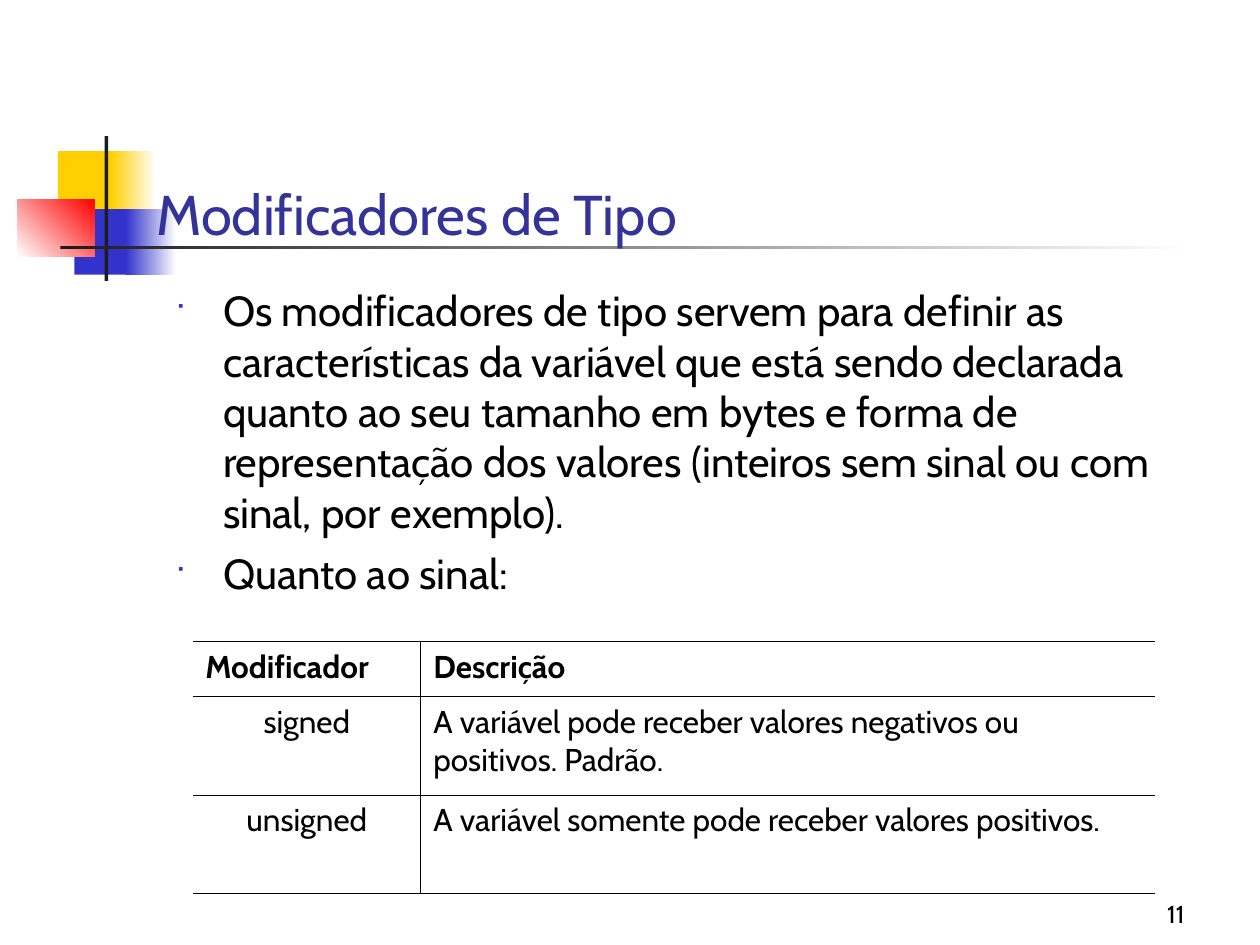
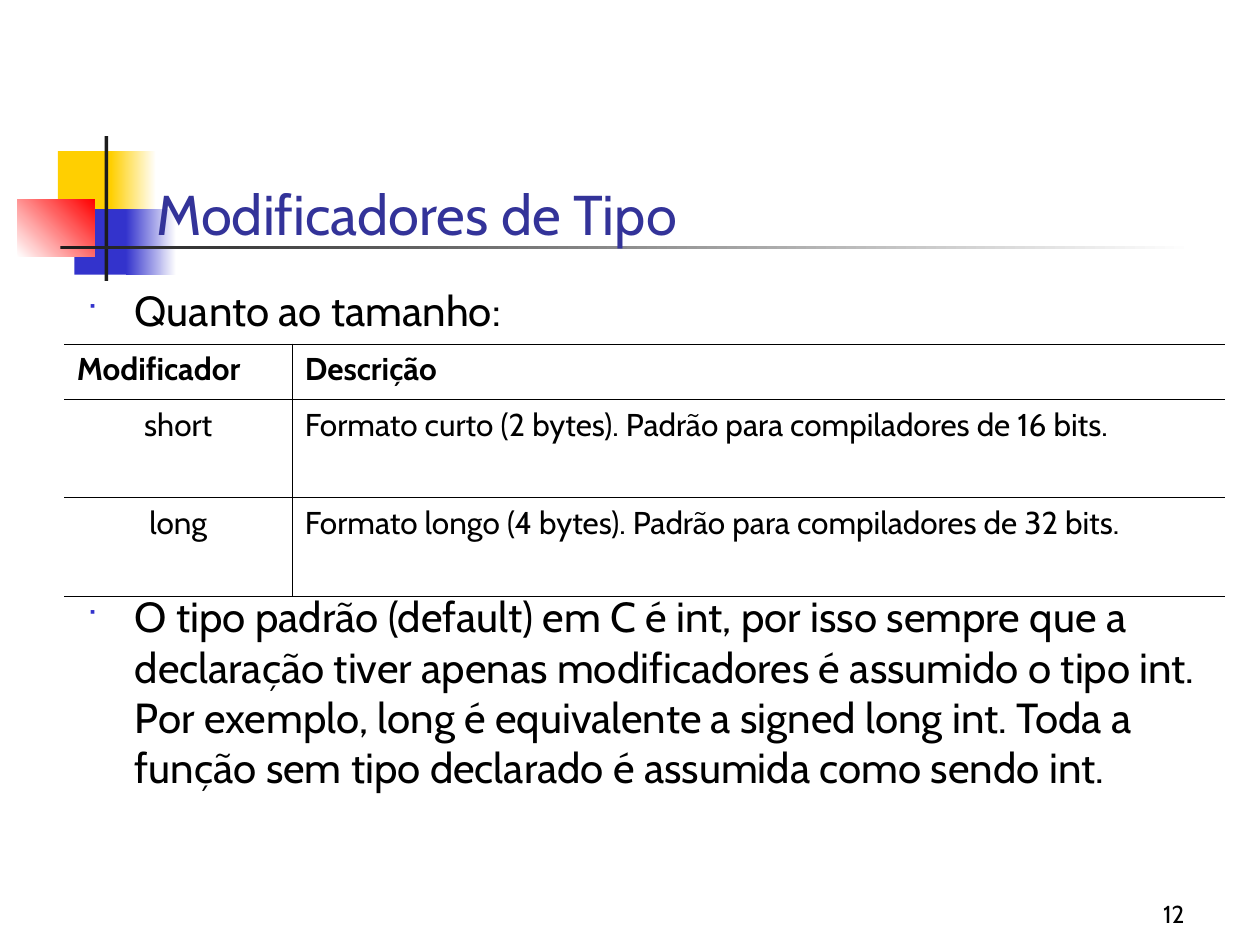
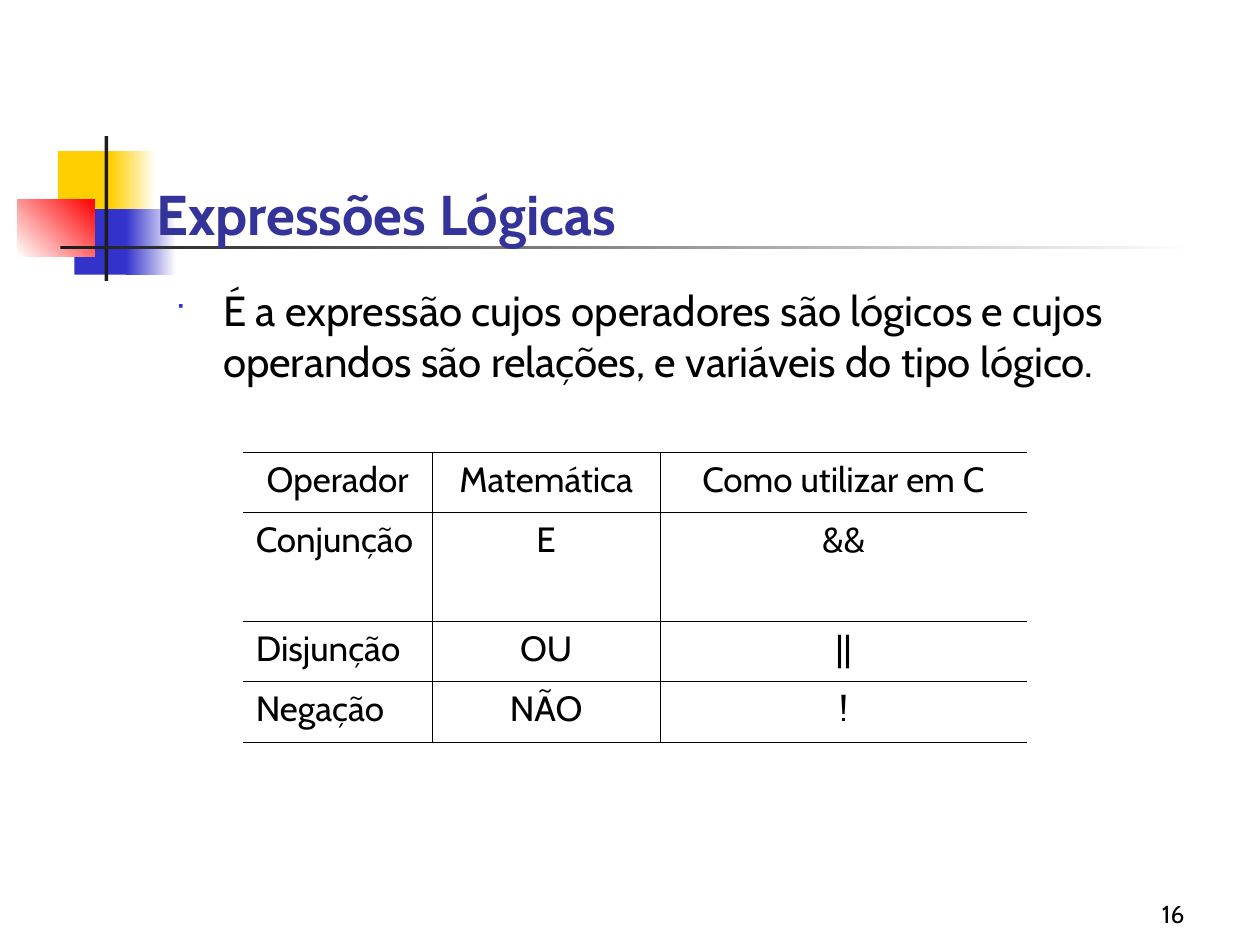
from dataclasses import dataclass

from lxml import etree
from pptx import Presentation
from pptx.dml.color import RGBColor
from pptx.enum.shapes import MSO_SHAPE
from pptx.enum.text import MSO_ANCHOR, MSO_AUTO_SIZE, PP_ALIGN
from pptx.oxml.ns import qn
from pptx.util import Inches, Pt

LEFT, CENTER, RIGHT = PP_ALIGN.LEFT, PP_ALIGN.CENTER, PP_ALIGN.RIGHT
TOP, BOTTOM = MSO_ANCHOR.TOP, MSO_ANCHOR.BOTTOM
RECTANGLE = MSO_SHAPE.RECTANGLE
NO_AUTOFIT = MSO_AUTO_SIZE.NONE

SLIDE_W, SLIDE_H = Inches(10), Inches(7.5)
COLUMN, ROW = SLIDE_W / 100, SLIDE_H / 75

FONT = "Cabin"
BLACK, WHITE, CHARCOAL = "000000", "FFFFFF", "1C1C1C"
YELLOW, BLUE, RED, TITLE_BLUE = "FFCF01", "3333CC", "FF0000", "333399"
RULE_WIDTH = Pt(0.45)
LIST_GAP = 6


@dataclass(frozen=True)
class Box:
    """A place in grid columns and rows."""
    left: float
    top: float
    width: float
    height: float

    def lengths(self) -> tuple[int, int, int, int]:
        return (round(self.left * COLUMN), round(self.top * ROW),
                round(self.width * COLUMN), round(self.height * ROW))


@dataclass(frozen=True)
class Block:
    """A rectangle of the emblem, plain or fading into a second colour."""
    box: Box
    color: str
    fade_to: str = ""
    angle: int = 0


@dataclass(frozen=True)
class Item:
    text: str
    gap: float = LIST_GAP


@dataclass(frozen=True)
class Grid:
    left: float
    top: float
    columns: list[float]
    rows: list[float]
    size: int
    header_align: PP_ALIGN
    header_bold: bool
    aligns: list[PP_ALIGN]
    cells: list[list[str]]


@dataclass(frozen=True)
class Lesson:
    title: str
    number: int
    items: list[Item]
    grid: Grid
    list_box: Box
    bold_title: bool = False


TITLE_BOX = Box(11.4, 7.6, 85.2, 12.5)
NUMBER_BOX = Box(74.2, 69.2, 20.8, 5)
LIST_BOX = Box(12.9, 22.1, 85, 45)
WIDE_LIST_BOX = Box(5.9, 22.1, 92, 45)

EMBLEM = [
    Block(Box(4.6, 12, 4.8, 5.2), YELLOW),
    Block(Box(8.8, 12, 3.6, 5.2), YELLOW, WHITE),
    Block(Box(5.9, 16.6, 4.6, 5.2), BLUE),
    Block(Box(10, 16.6, 4, 5.2), BLUE, WHITE),
    Block(Box(1.4, 15.8, 6.1, 4.6), WHITE, RED, 45),
    Block(Box(8.3, 10.8, 0.3, 11.5), CHARCOAL),
    Block(Box(4.8, 19.5, 90, 0.3), CHARCOAL, WHITE),
]


def modifier_grid(left: float, top: float, description_width: float,
                  modifiers: list[list[str]]) -> Grid:
    return Grid(left, top, [18.1, description_width], [4.4, 7.8, 7.8], 18,
                LEFT, True, [CENTER, LEFT],
                [["Modificador", "Descrição"], *modifiers])


LESSONS = [
    Lesson(
        "Modificadores de Tipo", 11,
        [Item("Os modificadores de tipo servem para definir as características "
              "da variável que está sendo declarada quanto ao seu tamanho em "
              "bytes e forma de representação dos valores (inteiros sem sinal "
              "ou com sinal, por exemplo)."),
         Item("Quanto ao sinal:")],
        modifier_grid(15.3, 50.9, 58.3, [
            ["signed", "A variável pode receber valores negativos ou "
                       "positivos. Padrão."],
            ["unsigned", "A variável somente pode receber valores positivos."],
        ]),
        LIST_BOX),
    Lesson(
        "Modificadores de Tipo", 12,
        [Item("Quanto ao tamanho:"),
         Item("O tipo padrão (default) em C é int, por isso sempre que a "
              "declaração tiver apenas modificadores é assumido o tipo int. "
              "Por exemplo, long é equivalente a signed long int. Toda a "
              "função sem tipo declarado é assumida como sendo int.", gap=146)],
        modifier_grid(5.1, 27.3, 74, [
            ["short", "Formato curto (2 bytes). Padrão para compiladores de "
                      "16 bits."],
            ["long", "Formato longo (4 bytes). Padrão para compiladores de "
                     "32 bits."],
        ]),
        WIDE_LIST_BOX),
    Lesson(
        "Expressões Lógicas", 16,
        [Item("É a expressão cujos operadores são lógicos e cujos operandos "
              "são relações, e variáveis do tipo lógico.")],
        Grid(19.3, 35.9, [15, 18.1, 29.1], [4.8, 8.6, 4.8, 4.8], 20,
             CENTER, False, [LEFT, CENTER, CENTER],
             [["Operador", "Matemática", "Como utilizar em C"],
              ["Conjunção", "E", "&&"],
              ["Disjunção", "OU", "||"],
              ["Negação", "NÃO", "!"]]),
        LIST_BOX, bold_title=True),
]


def rgb(color: str) -> RGBColor:
    return RGBColor.from_string(color)


def place(shape, box: Box) -> None:
    shape.left, shape.top, shape.width, shape.height = box.lengths()


def prepare_frame(frame, anchor: MSO_ANCHOR) -> None:
    frame.word_wrap = True
    frame.auto_size = NO_AUTOFIT
    frame.vertical_anchor = anchor


def write(paragraph, text: str, size: int, color: str = BLACK,
          bold: bool = False, align: PP_ALIGN = LEFT) -> None:
    paragraph.alignment = align
    run = paragraph.add_run()
    run.text = text
    run.font.name = FONT
    run.font.size = Pt(size)
    run.font.bold = bold
    run.font.color.rgb = rgb(color)


def add_bullet(paragraph) -> None:
    properties = paragraph._p.get_or_add_pPr()
    indent = Inches(0.38)
    properties.set("marL", str(indent))
    properties.set("indent", str(-indent))
    tint = etree.SubElement(properties, qn("a:buClr"))
    etree.SubElement(tint, qn("a:srgbClr"), val=BLUE)
    etree.SubElement(properties, qn("a:buSzPct"), val="60000")
    etree.SubElement(properties, qn("a:buFont"), typeface="Wingdings")
    etree.SubElement(properties, qn("a:buChar"), char="■")


def draw_block(slide, block: Block):
    shape = slide.shapes.add_shape(RECTANGLE, *block.box.lengths())
    shape.shadow.inherit = False
    shape.line.fill.background()
    if block.fade_to:
        shape.fill.gradient()
        shape.fill.gradient_angle = block.angle
        for stop, position, color in zip(shape.fill.gradient_stops, (0, 1),
                                         (block.color, block.fade_to)):
            stop.position = position
            stop.color.rgb = rgb(color)
    else:
        shape.fill.solid()
        shape.fill.fore_color.rgb = rgb(block.color)
    return shape


def put_emblem_on_layout(slide) -> None:
    """Draw the emblem on a slide, then move it to the layout all slides share."""
    layout = slide.slide_layout
    for footer in list(layout.placeholders)[2:]:
        layout.shapes.element.remove(footer.element)
    for shape in [draw_block(slide, block) for block in EMBLEM]:
        layout.shapes.element.append(shape.element)


def rule_cell(cell, ruled_sides: dict[str, bool]) -> None:
    properties = cell._tc.get_or_add_tcPr()
    for index, (side, ruled) in enumerate(ruled_sides.items()):
        line = etree.Element(qn(f"a:ln{side}"), w=str(RULE_WIDTH))
        if ruled:
            fill = etree.SubElement(line, qn("a:solidFill"))
            etree.SubElement(fill, qn("a:srgbClr"), val=BLACK)
        else:
            etree.SubElement(line, qn("a:noFill"))
        properties.insert(index, line)


def draw_grid(slide, grid: Grid) -> None:
    box = Box(grid.left, grid.top, sum(grid.columns), sum(grid.rows))
    table = slide.shapes.add_table(len(grid.rows), len(grid.columns),
                                   *box.lengths()).table
    table.first_row = table.horz_banding = False
    for column, width in zip(table.columns, grid.columns):
        column.width = round(width * COLUMN)
    last = len(grid.columns) - 1
    for r, (row, height, texts) in enumerate(
            zip(table.rows, grid.rows, grid.cells)):
        row.height = round(height * ROW)
        header = r == 0
        for c, text in enumerate(texts):
            cell = table.cell(r, c)
            cell.fill.background()
            rule_cell(cell, {"L": c > 0, "R": c < last, "T": True, "B": True})
            write(cell.text_frame.paragraphs[0], text, grid.size,
                  bold=header and grid.header_bold,
                  align=grid.header_align if header else grid.aligns[c])


def fill_slide(slide, lesson: Lesson) -> None:
    title, topics = slide.placeholders
    place(title, TITLE_BOX)
    prepare_frame(title.text_frame, BOTTOM)
    write(title.text_frame.paragraphs[0], lesson.title, 32, TITLE_BLUE,
          lesson.bold_title)

    place(topics, lesson.list_box)
    frame = topics.text_frame
    prepare_frame(frame, TOP)
    for index, item in enumerate(lesson.items):
        paragraph = frame.add_paragraph() if index else frame.paragraphs[0]
        paragraph.space_before = Pt(item.gap)
        add_bullet(paragraph)
        write(paragraph, item.text, 24)

    number = slide.shapes.add_textbox(*NUMBER_BOX.lengths()).text_frame
    prepare_frame(number, BOTTOM)
    write(number.paragraphs[0], str(lesson.number), 14, align=RIGHT)
    draw_grid(slide, lesson.grid)


def main() -> None:
    deck = Presentation()
    deck.slide_width, deck.slide_height = SLIDE_W, SLIDE_H
    slides = [deck.slides.add_slide(deck.slide_layouts[1]) for _ in LESSONS]
    put_emblem_on_layout(slides[0])
    for slide, lesson in zip(slides, LESSONS):
        fill_slide(slide, lesson)
    deck.save("out.pptx")


if __name__ == "__main__":
    main()
